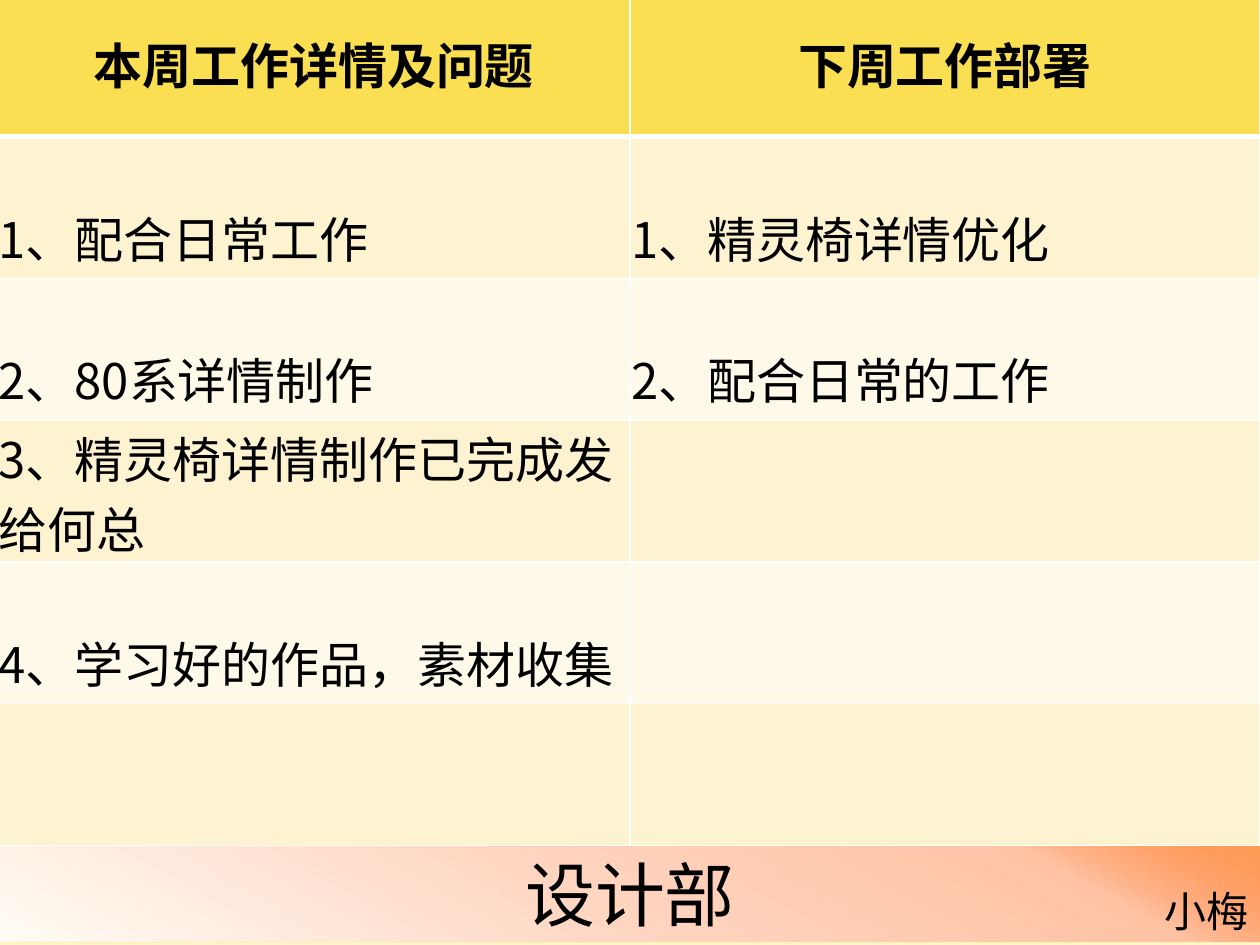
from lxml.etree import SubElement
from pptx import Presentation
from pptx.dml.color import RGBColor
from pptx.enum.shapes import MSO_SHAPE
from pptx.enum.text import MSO_ANCHOR, MSO_AUTO_SIZE, PP_ALIGN
from pptx.oxml.ns import qn
from pptx.util import Inches, Pt

FONT = "Noto Sans CJK SC"
BLACK = RGBColor(0, 0, 0)
WHITE = RGBColor(0xFF, 0xFF, 0xFF)
HEADER = RGBColor(0xFB, 0xDF, 0x53)
BANDS = [RGBColor(0xFD, 0xF3, 0xD1), RGBColor(0xFE, 0xF9, 0xE9)]
CREAM = RGBColor(0xFD, 0xF1, 0xB2)
IVORY = RGBColor(0xFF, 0xFD, 0xF6)

# Gradient stops: position %, colour, opacity %
PAGE_STOPS = [(0, IVORY, 100), (74, CREAM, 100), (83, CREAM, 100),
              (100, RGBColor(0xFE, 0xF5, 0xCB), 100)]
FOOTER_STOPS = [(0, IVORY, 100), (45, RGBColor(0xFF, 0xD6, 0xC2), 100),
                (83, RGBColor(0xFF, 0xC2, 0xA3), 100),
                (100, RGBColor(0xFF, 0x5D, 0x0D), 58)]

ROWS = [
    ("本周工作详情及问题", "下周工作部署"),
    ("1、配合日常工作", "1、精灵椅详情优化"),
    ("2、80系详情制作", "2、配合日常的工作"),
    ("3、精灵椅详情制作已完成发给何总", ""),
    ("4、学习好的作品，素材收集", ""),
    ("", ""),
]
COL_WIDTHS = [5.02, 5]
TABLE_HEIGHT = 6.75
DEPARTMENT = "设计部"
AUTHOR = "小梅"


def add_color(parent, color, opacity=100):
    """Append an RGB colour element to an XML parent."""
    clr = SubElement(parent, qn("a:srgbClr"), val=str(color))
    if opacity < 100:
        SubElement(clr, qn("a:alpha"), val=str(opacity * 1000))


def set_gradient(fill, element, stops, angle):
    """Give a fill linear gradient stops and a clockwise angle."""
    fill.gradient()
    grad = next(element.iter(qn("a:gradFill")))
    stop_list = grad.find(qn("a:gsLst"))
    for old in list(stop_list):
        stop_list.remove(old)
    for pos, color, opacity in stops:
        add_color(SubElement(stop_list, qn("a:gs"), pos=str(pos * 1000)), color, opacity)
    grad.find(qn("a:lin")).set("ang", str(angle * 60000))


def set_text(tf, text, size, align=PP_ALIGN.LEFT, bold=False):
    """Write one formatted paragraph into a text frame."""
    tf.text = text
    p = tf.paragraphs[0]
    p.alignment = align
    for r in p.runs:
        r.font.name = FONT
        r.font.size = Pt(size)
        r.font.bold = bold
        r.font.color.rgb = BLACK
        SubElement(r.font._element, qn("a:ea"), typeface=FONT)


def set_borders(cell, top=1, bottom=1):
    """Draw white cell borders with chosen top and bottom widths in points."""
    tcPr = cell._tc.get_or_add_tcPr()
    for i, (side, width) in enumerate([("L", 1), ("R", 1), ("T", top), ("B", bottom)]):
        ln = tcPr.makeelement(qn(f"a:ln{side}"), {"w": str(Pt(width))})
        add_color(SubElement(ln, qn("a:solidFill")), WHITE)
        tcPr.insert(i, ln)


def add_footer(s):
    """Add the department band and the author's name."""
    band = s.shapes.add_shape(MSO_SHAPE.RECTANGLE, Inches(-0.02), Inches(6.71),
                              Inches(10.04), Inches(0.77))
    band.shadow.inherit = False
    set_gradient(band.fill, band.element, FOOTER_STOPS, 299)
    band.line.color.rgb = CREAM
    band.line.width = Pt(0.75)
    tf = band.text_frame
    tf.word_wrap = True
    tf.auto_size = MSO_AUTO_SIZE.SHAPE_TO_FIT_TEXT
    set_text(tf, DEPARTMENT, 40, PP_ALIGN.CENTER)

    author = s.shapes.add_textbox(Inches(9.14), Inches(6.98), Inches(0.87), Inches(0.5))
    tf = author.text_frame
    tf.word_wrap = False
    tf.auto_size = MSO_AUTO_SIZE.SHAPE_TO_FIT_TEXT
    set_text(tf, AUTHOR, 24, PP_ALIGN.RIGHT)


def add_work_table(s):
    """Add the table of this week's work and next week's plan."""
    table = s.shapes.add_table(len(ROWS), len(COL_WIDTHS), Inches(-0.02), Inches(-0.04),
                               Inches(sum(COL_WIDTHS)), Inches(TABLE_HEIGHT)).table
    for col, width in zip(table.columns, COL_WIDTHS):
        col.width = Inches(width)
    for i, texts in enumerate(ROWS):
        head = i == 0
        table.rows[i].height = Inches(TABLE_HEIGHT / len(ROWS))
        for j, text in enumerate(texts):
            cell = table.cell(i, j)
            cell.margin_left = cell.margin_right = cell.margin_top = Inches(0.01)
            cell.margin_bottom = Inches(0.05)
            cell.vertical_anchor = MSO_ANCHOR.MIDDLE if head else MSO_ANCHOR.BOTTOM
            cell.fill.solid()
            cell.fill.fore_color.rgb = HEADER if head else BANDS[(i - 1) % 2]
            set_borders(cell, top=3 if i == 1 else 1, bottom=3 if head else 1)
            set_text(cell.text_frame, text, 28,
                     PP_ALIGN.CENTER if head else PP_ALIGN.LEFT, head)


prs = Presentation()
prs.slide_width, prs.slide_height = Inches(10), Inches(7.5)
s = prs.slides.add_slide(prs.slide_layouts[6])
set_gradient(s.background.fill, s.element, PAGE_STOPS, 90)
add_footer(s)
add_work_table(s)
prs.save("out.pptx")
